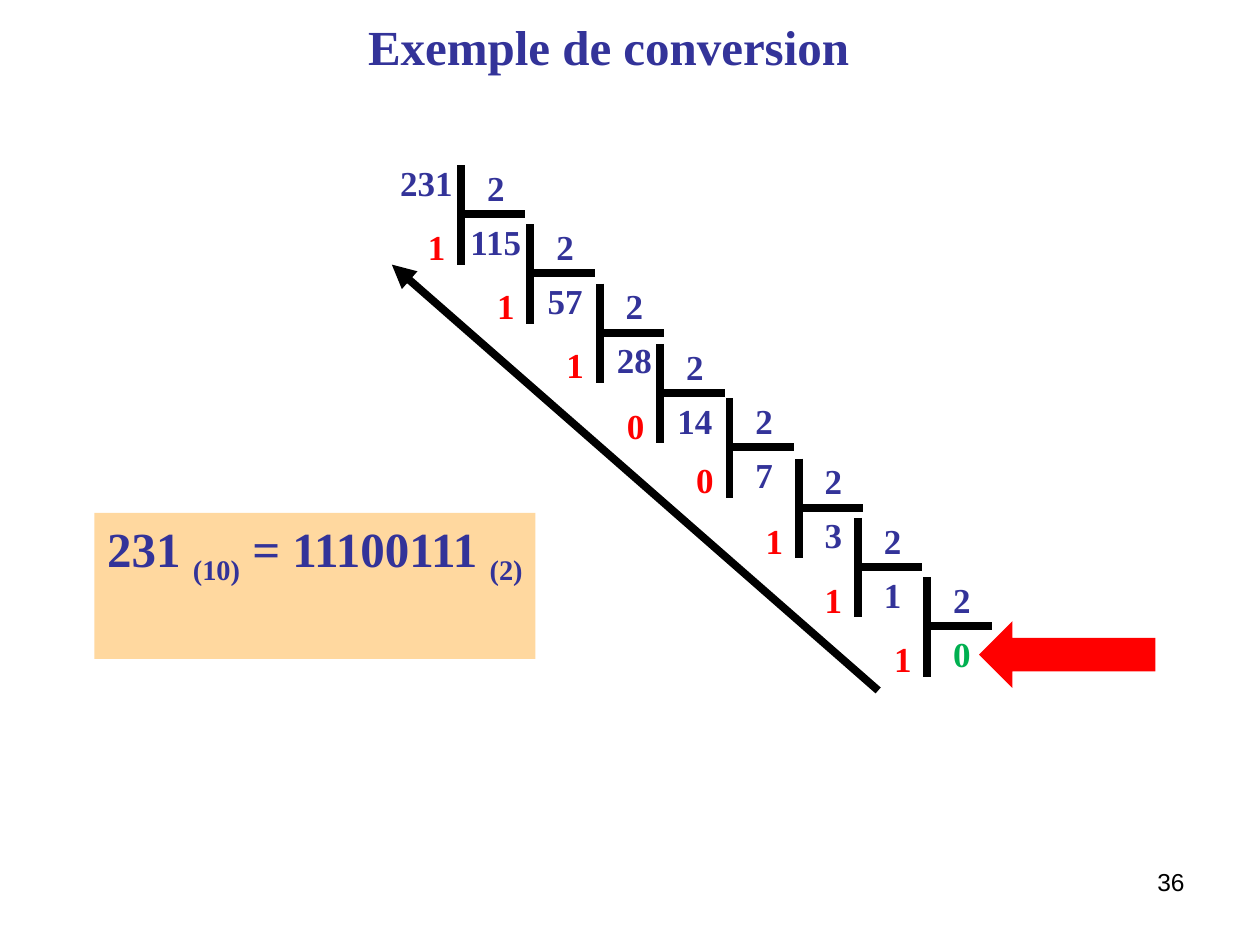
from dataclasses import dataclass

import pptx
import pptx.dml.color
import pptx.enum.shapes
import pptx.enum.text
import pptx.oxml
import pptx.oxml.ns
import pptx.util

Inches = pptx.util.Inches
Pt = pptx.util.Pt
ALIGN = pptx.enum.text.PP_ALIGN
ANCHOR = pptx.enum.text.MSO_ANCHOR
SHAPE = pptx.enum.shapes.MSO_SHAPE


@dataclass(frozen=True)
class Theme:
    serif: str = "Times New Roman"
    sans: str = "Arial"
    ink: str = "333399"
    black: str = "000000"
    red: str = "FF0000"
    green: str = "00B050"
    sand: str = "FFD89F"
    large: int = 28
    digit: int = 20
    small: int = 14
    stroke: float = 4.5


THEME = Theme()
NUMBER = 231
BASE = 2
STEP_CORNERS = [
    (3.66, 1.31), (4.21, 1.78), (4.76, 2.25), (5.24, 2.73),
    (5.79, 3.16), (6.34, 3.64), (6.81, 4.11), (7.36, 4.58),
]


def rgb(color):
    return pptx.dml.color.RGBColor.from_string(color)


def write_text(shape, *parts, size=THEME.digit, color=THEME.ink, font=THEME.serif,
               bold=True, align=ALIGN.CENTER, anchor=ANCHOR.TOP, before=0):
    frame = shape.text_frame
    frame.word_wrap = True
    frame.vertical_anchor = anchor
    paragraph = frame.paragraphs[0]
    paragraph.alignment = align
    paragraph.space_before = Pt(before)
    for text, baseline in parts:
        run = paragraph.add_run()
        run.text = text
        run.font.name = font
        run.font.size = Pt(size)
        run.font.bold = bold
        run.font.color.rgb = rgb(color)
        if baseline:
            run.font._element.set("baseline", str(baseline * 1000))


def add_label(slide, text, left, top, width=0.71, height=0.44, **style):
    label = slide.shapes.add_textbox(
        Inches(left), Inches(top), Inches(width), Inches(height))
    write_text(label, (text, 0), **style)


def add_line(slide, start, end, arrow=False):
    line = slide.shapes.add_connector(
        pptx.enum.shapes.MSO_CONNECTOR.STRAIGHT,
        *(Inches(value) for value in (*start, *end)))
    line.line.color.rgb = rgb(THEME.black)
    line.line.width = Pt(THEME.stroke)
    if arrow:
        tail = pptx.oxml.parse_xml(
            f'<a:tailEnd {pptx.oxml.ns.nsdecls("a")} type="triangle"/>')
        line.line._get_or_add_ln().append(tail)
    line._element.spPr.append(
        pptx.oxml.parse_xml(f'<a:effectLst {pptx.oxml.ns.nsdecls("a")}/>'))


def add_block(slide, kind, color, left, top, width, height):
    block = slide.shapes.add_shape(
        kind, Inches(left), Inches(top), Inches(width), Inches(height))
    block.shadow.inherit = False
    block.fill.solid()
    block.fill.fore_color.rgb = rgb(color)
    block.line.fill.background()
    return block


def add_title(slide, text):
    title = slide.shapes.title
    title.left, title.top = Inches(0.43), Inches(0.06)
    title.width, title.height = Inches(9), Inches(0.61)
    title.text_frame.margin_right = Inches(0.3)
    write_text(title, (text, 0), size=THEME.large, anchor=ANCHOR.MIDDLE)


def add_division(slide, corner, quotient, remainder):
    x, y = corner
    add_line(slide, (x, y), (x, y + 0.79))
    add_line(slide, (x, y + 0.39), (x + 0.51, y + 0.39))
    add_label(slide, str(BASE), x - 0.08, y - 0.04, before=5)
    add_label(slide, str(quotient), x - 0.08, y + 0.39, before=5,
              color=THEME.ink if quotient else THEME.green)
    add_label(slide, str(remainder), x - 0.55, y + 0.43, before=5, color=THEME.red)


def add_divisions(slide):
    add_label(slide, str(NUMBER), 3.03, 1.23, before=5)
    dividend = NUMBER
    for corner in STEP_CORNERS:
        quotient, remainder = divmod(dividend, BASE)
        add_division(slide, corner, quotient, remainder)
        dividend = quotient


def add_result(slide):
    result = add_block(slide, SHAPE.RECTANGLE, THEME.sand, 0.75, 4.07, 3.5, 1.16)
    write_text(result, (f"{NUMBER} ", 0), ("(10)", -25),
               (f" = {NUMBER:b} ", 0), (f"({BASE})", -25),
               size=THEME.large, before=7)


def main():
    deck = pptx.Presentation()
    deck.slide_width, deck.slide_height = Inches(10), Inches(7.5)
    slide = deck.slides.add_slide(deck.slide_layouts[5])
    add_title(slide, "Exemple de conversion")
    add_label(slide, "36", 7.17, 6.83, 2.33, 0.52, size=THEME.small,
              color=THEME.black, font=THEME.sans, bold=False, align=ALIGN.RIGHT)
    add_divisions(slide)
    add_line(slide, (6.97, 5.48), (3.11, 2.1), arrow=True)
    add_result(slide)
    stop_arrow = add_block(slide, SHAPE.RIGHT_ARROW, THEME.red, 7.77, 4.93, 1.4, 0.53)
    stop_arrow.rotation = 180
    deck.save("out.pptx")


if __name__ == "__main__":
    main()
